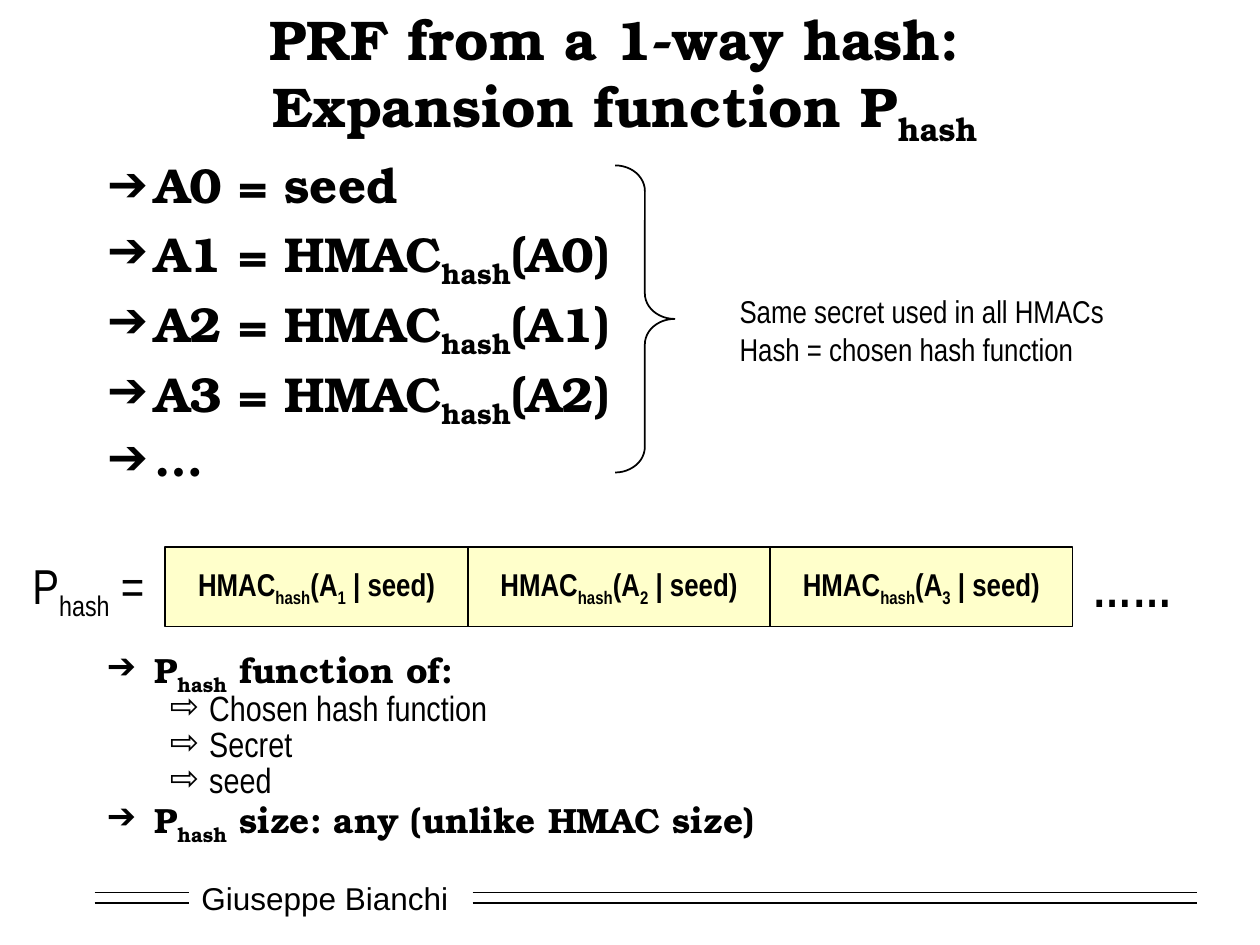
import pptx
import pptx.dml.color
import pptx.enum.shapes
import pptx.enum.text
import pptx.oxml
import pptx.oxml.ns
import pptx.util
from dataclasses import dataclass

Pt = pptx.util.Pt
Shapes = pptx.enum.shapes.MSO_SHAPE
Anchor = pptx.enum.text.MSO_ANCHOR
AutoSize = pptx.enum.text.MSO_AUTO_SIZE
Align = pptx.enum.text.PP_ALIGN


@dataclass
class Theme:
    ink: str = "000000"
    paper: str = "FFFFFF"
    cell: str = "FFFF99"
    serif: str = "TeX Gyre Bonum"
    narrow: str = "Arial Narrow"
    sans: str = "Arial"
    title: int = 32
    large: int = 28
    medium: int = 20
    small: int = 18


class SlideBuilder:
    def __init__(self, slide, theme):
        self.slide = slide
        self.theme = theme

    def color(self, value):
        return pptx.dml.color.RGBColor.from_string(value)

    def append_xml(self, parent, tag, **attributes):
        element = pptx.oxml.parse_xml(f"<a:{tag} {pptx.oxml.ns.nsdecls('a')}/>")
        for name, value in attributes.items():
            element.set(name, value)
        parent.append(element)
        return element

    def place(self, shape, box):
        shape.left, shape.top, shape.width, shape.height = map(Pt, box)

    def add_runs(self, paragraph, parts, font, size, bold=False):
        for index, part in enumerate(parts):
            for line_index, line in enumerate(part.split("\n")):
                if line_index:
                    paragraph.add_line_break()
                run = paragraph.add_run()
                run.text = line
                run.font.name = font
                run.font.size = Pt(size)
                run.font.bold = bold
                run.font.color.rgb = self.color(self.theme.ink)
                if index % 2:
                    run.font._element.set("baseline", "-25000")

    def title(self, box, parts):
        shape = self.slide.shapes.title
        self.place(shape, box)
        frame = shape.text_frame
        frame.auto_size = AutoSize.NONE
        frame.vertical_anchor = Anchor.MIDDLE
        paragraph = frame.paragraphs[0]
        paragraph.alignment = Align.CENTER
        self.add_runs(paragraph, parts, self.theme.serif, self.theme.title, True)

    def bullets(self, shape, box, items, size, line_spacing):
        self.place(shape, box)
        frame = shape.text_frame
        frame.word_wrap = True
        frame.auto_size = AutoSize.NONE
        for index, (level, parts) in enumerate(items):
            paragraph = frame.paragraphs[0] if index == 0 else frame.add_paragraph()
            paragraph.level = level
            margin, indent, symbol = ((27, -27, "➔"), (58.5, -22.5, "⇨"))[level]
            properties = paragraph._p.get_or_add_pPr()
            properties.set("marL", str(Pt(margin)))
            properties.set("indent", str(Pt(indent)))
            bullet_color = self.append_xml(properties, "buClr")
            self.append_xml(bullet_color, "srgbClr", val=self.theme.ink)
            self.append_xml(properties, "buFont", typeface=self.theme.sans)
            self.append_xml(properties, "buChar", char=symbol)
            paragraph.line_spacing = line_spacing
            paragraph.space_before = Pt(size * 0.2 if index else 0)
            font = self.theme.narrow if level else self.theme.serif
            self.add_runs(paragraph, parts, font, size, level == 0)

    def label(self, box, lines, size, bold=False):
        shape = self.slide.shapes.add_textbox(*map(Pt, box))
        frame = shape.text_frame
        frame.word_wrap = False
        frame.auto_size = AutoSize.SHAPE_TO_FIT_TEXT
        for index, parts in enumerate(lines):
            paragraph = frame.paragraphs[0] if index == 0 else frame.add_paragraph()
            self.add_runs(paragraph, parts, self.theme.narrow, size, bold)

    def outline(self, kind, box):
        shape = self.slide.shapes.add_shape(kind, *map(Pt, box))
        shape.shadow.inherit = False
        shape.fill.background()
        shape.line.color.rgb = self.color(self.theme.ink)
        shape.line.width = Pt(1)
        return shape

    def brace(self, box):
        shape = self.outline(Shapes.RIGHT_BRACE, box)
        shape.adjustments[0] = 0.43
        shape.adjustments[1] = 0.5

    def cell(self, box, parts):
        shape = self.outline(Shapes.RECTANGLE, box)
        shape.fill.solid()
        shape.fill.fore_color.rgb = self.color(self.theme.cell)
        fill = shape._element.spPr.find(pptx.oxml.ns.qn("a:solidFill"))
        self.append_xml(fill[0], "alpha", val="50000")
        frame = shape.text_frame
        frame.word_wrap = False
        frame.vertical_anchor = Anchor.MIDDLE
        paragraph = frame.paragraphs[0]
        paragraph.alignment = Align.CENTER
        self.add_runs(paragraph, parts, self.theme.narrow, self.theme.small, True)

    def rule(self, left, right, top):
        line = self.slide.shapes.add_connector(
            pptx.enum.shapes.MSO_CONNECTOR.STRAIGHT, Pt(left), Pt(top), Pt(right), Pt(top))
        line.line.color.rgb = self.color(self.theme.ink)
        line.line.width = Pt(1)
        self.append_xml(line._element.spPr, "effectLst")

    def footer(self, box, text):
        shape = self.outline(Shapes.RECTANGLE, box)
        shape.fill.solid()
        shape.fill.fore_color.rgb = self.color(self.theme.paper)
        shape.line.fill.background()
        frame = shape.text_frame
        frame.word_wrap = True
        frame.vertical_anchor = Anchor.MIDDLE
        paragraph = frame.paragraphs[0]
        paragraph.alignment = Align.LEFT
        self.add_runs(paragraph, [text], self.theme.sans, self.theme.small)
        for top in (510, 516):
            self.rule(54, 108, top)
            self.rule(270, 684, top)


def main():
    presentation = pptx.Presentation()
    presentation.slide_width = Pt(720)
    presentation.slide_height = Pt(540)
    slide = presentation.slides.add_slide(presentation.slide_layouts[1])
    theme = Theme()
    builder = SlideBuilder(slide, theme)

    builder.footer((108, 498.5, 156, 29), "Giuseppe Bianchi")
    builder.title((54, 18, 606, 51), ["PRF from a 1-way hash: \nExpansion function P", "hash"])

    chain = [(0, [f"A{step} = HMAC", "hash", f"(A{step - 1})"]) for step in range(1, 4)]
    builder.bullets(slide.placeholders[1], (54, 88.5, 606, 187),
                    [(0, ["A0 = seed"]), *chain, (0, ["…"])], theme.large, 0.9)
    builder.brace((351.5, 94.5, 34, 175.5))
    builder.label((415.5, 163.5, 223, 50),
                  [["Same secret used in all HMACs"], ["Hash = chosen hash function"]], theme.small)

    cell_width = 172.8
    for index in range(3):
        builder.cell((94.5 + index * cell_width, 312.5, cell_width, 45.5),
                     ["HMAC", "hash", "(A", str(index + 1), " | seed)"])
    builder.label((617, 315.5, 60.5, 41), [["……"]], theme.large, True)
    builder.label((11.5, 314, 83.5, 41), [["P", "hash", " ="]], theme.large)

    summary_box = (54, 372, 595.5, 121.5)
    builder.bullets(slide.shapes.add_textbox(*map(Pt, summary_box)), summary_box, [
        (0, ["P", "hash", " function of:"]),
        (1, ["Chosen hash function"]),
        (1, ["Secret"]),
        (1, ["seed"]),
        (0, ["P", "hash", " size: any (unlike HMAC size)"]),
    ], theme.medium, 0.7)

    presentation.save("out.pptx")


if __name__ == "__main__":
    main()
